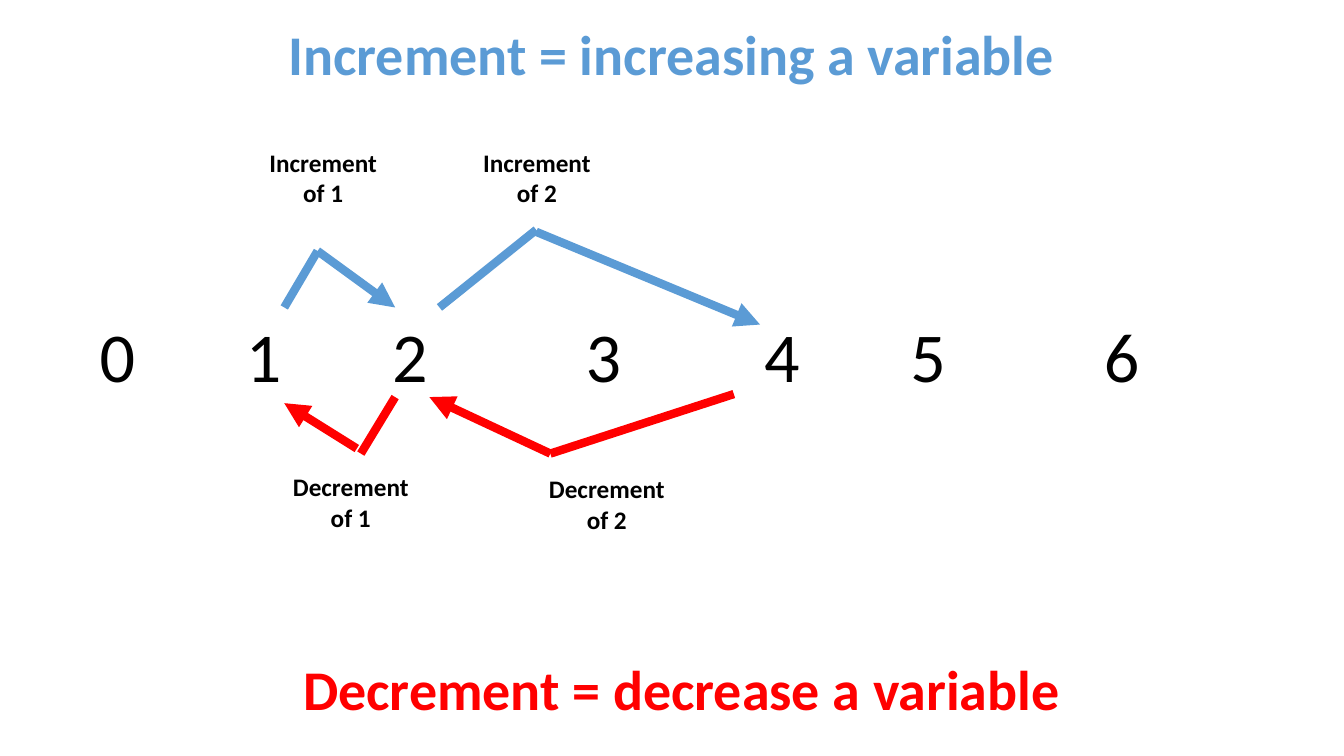
"""Build a slide that shows increments and decrements on a number row."""
from dataclasses import dataclass
from typing import NamedTuple

from lxml import etree
from pptx import Presentation
from pptx import util as u
from pptx.dml.color import RGBColor
from pptx.enum import shapes, text
from pptx.oxml import ns


@dataclass(frozen=True)
class Theme:
    font: str = "Calibri"
    up: str = "5B9BD5"
    down: str = "FF0000"
    ink: str = "000000"
    head: int = 40
    digit: int = 50
    label: int = 18
    line: int = 6


class Spot(NamedTuple):
    x: float
    y: float


class Area(NamedTuple):
    x: float
    y: float
    w: float
    h: float


class Hop(NamedTuple):
    word: str
    step: int
    color: str
    label: Area
    tail: tuple[Spot, Spot]
    arrow: tuple[Spot, Spot]


THEME = Theme()
WIDTH, HEIGHT = u.Inches(13.33), u.Inches(7.5)
TITLE = Area(11.7, 1.87, 76.5, 10.27)
CLOSE = Area(12.45, 85.87, 76.5, 10.27)
ROW = Area(6.68, 40.67, 86.55, 12.53)
STOPS = (1.45, 2.9, 4.82, 6.59, 8.04, 9.96)
HOPS = (
    Hop("Increment", 1, THEME.up, Area(19.28, 18.8, 9.53, 9.47),
        (Spot(21.15, 40.67), Spot(23.63, 33.2)),
        (Spot(23.63, 33.2), Spot(29.4, 40.67))),
    Hop("Increment", 2, THEME.up, Area(35.18, 18.8, 9.53, 9.47),
        (Spot(32.7, 40.67), Spot(39.9, 30.4)),
        (Spot(39.9, 30.67), Spot(56.55, 42.93))),
    Hop("Decrement", 1, THEME.down, Area(21, 61.73, 10.2, 9.47),
        (Spot(26.85, 60), Spot(29.4, 52.53)),
        (Spot(26.55, 59.33), Spot(21.15, 53.33))),
    Hop("Decrement", 2, THEME.down, Area(40.05, 62, 10.2, 9.47),
        (Spot(40.95, 60), Spot(54.6, 52.13)),
        (Spot(40.95, 60), Spot(31.95, 52.53))),
)


def across(share: float) -> int:
    """Turn a percentage of the slide's width into a length."""
    return round(WIDTH * share / 100)


def along(share: float) -> int:
    """Turn a percentage of the slide's height into a length."""
    return round(HEIGHT * share / 100)


def place(shape, area: Area) -> None:
    """Move and size a shape."""
    shape.left, shape.top = across(area.x), along(area.y)
    shape.width, shape.height = across(area.w), along(area.h)


def write(shape, words: str, size: int, color: str, bold: bool = True,
          wrap: bool = True, stops: tuple[float, ...] = ()) -> None:
    """Fill a shape with text, centred unless it has tab stops."""
    frame = shape.text_frame
    frame.text = words
    frame.word_wrap = wrap
    frame.auto_size = text.MSO_AUTO_SIZE.SHAPE_TO_FIT_TEXT
    frame.vertical_anchor = text.MSO_ANCHOR.TOP
    for para in frame.paragraphs:
        para.alignment = text.PP_ALIGN.LEFT if stops else text.PP_ALIGN.CENTER
        if stops:
            tabs = etree.SubElement(para._p.get_or_add_pPr(), ns.qn("a:tabLst"))
            for stop in stops:
                etree.SubElement(tabs, ns.qn("a:tab"),
                                 pos=str(u.Inches(stop)), algn="l")
        font = para.font
        font.name, font.size, font.bold = THEME.font, u.Pt(size), bold
        font.color.rgb = RGBColor.from_string(color)


def add_text(slide, area: Area, words: str, size: int, color: str,
             **style) -> None:
    """Add a text box."""
    box = slide.shapes.add_textbox(0, 0, 0, 0)
    place(box, area)
    write(box, words, size, color, **style)


def add_line(slide, ends: tuple[Spot, Spot], color: str,
             arrow: bool = False) -> None:
    """Add a straight line, with an arrowhead at its end if asked."""
    start, end = ends
    link = slide.shapes.add_connector(
        shapes.MSO_CONNECTOR.STRAIGHT, across(start.x), along(start.y),
        across(end.x), along(end.y))
    link.line.width = u.Pt(THEME.line)
    link.line.color.rgb = RGBColor.from_string(color)
    if arrow:
        etree.SubElement(link.line._get_or_add_ln(), ns.qn("a:tailEnd"),
                         type="triangle")
    etree.SubElement(link._element.spPr, ns.qn("a:effectLst"))


def add_hop(slide, hop: Hop) -> None:
    """Draw one hop between numbers, with its label."""
    add_line(slide, hop.arrow, hop.color, arrow=True)
    add_line(slide, hop.tail, hop.color)
    add_text(slide, hop.label, f"{hop.word}\nof {hop.step}", THEME.label,
             THEME.ink, wrap=False)


def main() -> None:
    """Build and save the slide."""
    deck = Presentation()
    deck.slide_width, deck.slide_height = WIDTH, HEIGHT
    slide = deck.slides.add_slide(deck.slide_layouts.get_by_name("Title Only"))
    title = slide.shapes.title
    place(title, TITLE)
    write(title, "Increment = increasing a variable", THEME.head, THEME.up)
    add_text(slide, ROW, "\t".join(map(str, range(7))), THEME.digit, THEME.ink,
             bold=False, stops=STOPS)
    for hop in HOPS:
        add_hop(slide, hop)
    add_text(slide, CLOSE, "Decrement = decrease a variable", THEME.head,
             THEME.down)
    deck.save("out.pptx")


if __name__ == "__main__":
    main()
